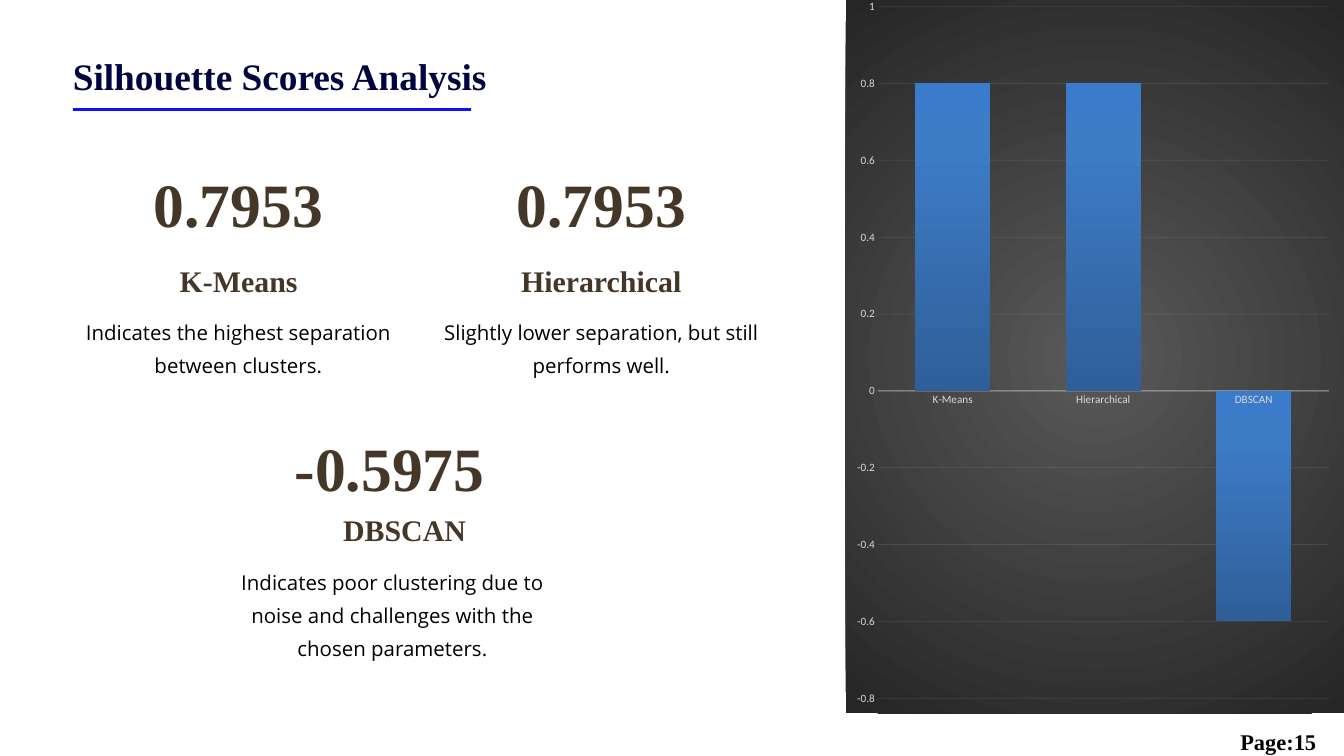
from dataclasses import dataclass

from lxml.etree import SubElement
from pptx import Presentation
from pptx.chart.chart import Chart
from pptx.chart.data import CategoryChartData
from pptx.dml.color import RGBColor
from pptx.dml.line import LineFormat
from pptx.enum.chart import XL_CHART_TYPE, XL_TICK_MARK
from pptx.enum.shapes import MSO_CONNECTOR
from pptx.enum.text import MSO_ANCHOR, MSO_AUTO_SIZE, PP_ALIGN
from pptx.oxml import parse_xml
from pptx.oxml.ns import nsdecls, qn
from pptx.slide import Slide
from pptx.util import Pt

PX = 9525

COLORS = {
    "title": "020440",
    "rule": "1010F6",
    "score": "443728",
    "body": "000000",
    "label": "D9D9D9",
    "grid": "F2F2F2",
    "panel_center": "595959",
    "panel_edge": "262626",
    "bar_low": "2F5F99",
    "bar_mid": "3D7CC7",
    "bar_top": "3A7CCB",
}


@dataclass(frozen=True)
class Style:
    size: float
    color: str
    spacing: float
    font: str = "Times New Roman"
    bold: bool = True
    align: PP_ALIGN = PP_ALIGN.CENTER


@dataclass(frozen=True)
class Box:
    left: int
    top: int
    width: int
    height: int


@dataclass(frozen=True)
class Score:
    value: float
    method: str
    remark: str
    value_at: Box
    method_at: Box
    remark_at: Box


VALUE = Style(66, "score", 73.1)
METHOD = Style(32, "score", 34.4)
REMARK = Style(21.9, "body", 35.6, "Open Sans", False)
TITLE = Style(40, "title", 56.1, align=PP_ALIGN.LEFT)
PAGE = Style(24, "body", 47.6)

SCORES = [
    Score(0.7953, "K-Means", "Indicates the highest separation between clusters.",
          Box(104, 245, 473, 98), Box(155, 381, 372, 46), Box(104, 445, 473, 95)),
    Score(0.7953, "Hierarchical", "Slightly lower separation, but still performs well.",
          Box(622, 245, 474, 98), Box(673, 381, 372, 46), Box(622, 445, 474, 95)),
    Score(-0.5975, "DBSCAN",
          "Indicates poor clustering due to noise and challenges with the chosen parameters.",
          Box(320, 622, 473, 98), Box(392, 736, 372, 46), Box(324, 802, 473, 143)),
]


def emu(box: Box) -> list[int]:
    return [n * PX for n in (box.left, box.top, box.width, box.height)]


def add_text(slide: Slide, text: str, box: Box, style: Style, wrap: bool = True,
             inset: int = 0, **frame_format) -> None:
    frame = slide.shapes.add_textbox(*emu(box)).text_frame
    margins = {f"margin_{side}": inset * PX for side in ("left", "top", "right", "bottom")}
    for name, value in {"word_wrap": wrap, **margins, **frame_format}.items():
        setattr(frame, name, value)
    paragraph = frame.paragraphs[0]
    paragraph.alignment = style.align
    paragraph.line_spacing = Pt(style.spacing)
    run = paragraph.add_run()
    run.text = text
    for name, value in {"name": style.font, "size": Pt(style.size), "bold": style.bold}.items():
        setattr(run.font, name, value)
    run.font.color.rgb = RGBColor.from_string(COLORS[style.color])


def add_score(slide: Slide, score: Score) -> None:
    add_text(slide, str(score.value), score.value_at, VALUE, wrap=False)
    add_text(slide, score.method, score.method_at, METHOD, wrap=False)
    add_text(slide, score.remark, score.remark_at, REMARK)


def gradient(stops: dict[int, str], direction: str):
    marks = "".join(
        f'<a:gs pos="{pos * 1000}"><a:srgbClr val="{COLORS[color]}"/></a:gs>'
        for pos, color in stops.items()
    )
    return parse_xml(
        f'<a:gradFill {nsdecls("a")} rotWithShape="1"><a:gsLst>{marks}</a:gsLst>{direction}</a:gradFill>'
    )


def set_faint_line(line: LineFormat, width: float, opacity: int) -> None:
    line.width = Pt(width)
    line.color.rgb = RGBColor.from_string(COLORS["grid"])
    color = line._ln.find(".//" + qn("a:srgbClr"))
    SubElement(color, qn("a:alpha")).set("val", str(opacity * 1000))


def set_chart_font(part, size: int, color: str) -> None:
    for name, value in {"name": "Calibri", "size": Pt(size), "bold": False}.items():
        setattr(part.font, name, value)
    part.font.color.rgb = RGBColor.from_string(COLORS[color])


def set_panel(chart: Chart) -> None:
    panel = parse_xml(f'<c:spPr {nsdecls("c", "a")}><a:ln><a:noFill/></a:ln></c:spPr>')
    panel.insert(0, gradient(
        {0: "panel_center", 100: "panel_edge"},
        '<a:path path="circle"><a:fillToRect l="50000" t="50000" r="50000" b="50000"/></a:path>',
    ))
    space = chart._chartSpace
    space.find(qn("c:chart")).addnext(panel)

    plot_area = space.find(".//" + qn("c:plotArea"))
    for old in plot_area.findall(qn("c:layout")):
        plot_area.remove(old)
    places = {"layoutTarget": "inner", "xMode": "edge", "yMode": "edge",
              "x": 0.064, "y": 0.009, "w": 0.906, "h": 0.97}
    entries = "".join(f'<c:{tag} val="{value}"/>' for tag, value in places.items())
    plot_area.insert(0, parse_xml(
        f'<c:layout {nsdecls("c")}><c:manualLayout>{entries}</c:manualLayout></c:layout>'
    ))


def add_score_chart(slide: Slide, box: Box) -> None:
    data = CategoryChartData()
    data.categories = [score.method for score in SCORES]
    data.add_series("Series 1", [round(score.value, 1) for score in SCORES])
    chart = slide.shapes.add_chart(XL_CHART_TYPE.COLUMN_CLUSTERED, *emu(box), data).chart
    chart.has_title = False
    chart.has_legend = False
    set_chart_font(chart, 10, "body")
    set_panel(chart)

    plot = chart.plots[0]
    for name, value in {"gap_width": 100, "overlap": -24, "vary_by_categories": False}.items():
        setattr(plot, name, value)
    bars = plot.series[0]
    bars.invert_if_negative = False
    bars.format.fill.background()
    bar_fill = bars._element.find(qn("c:spPr"))
    bar_fill.replace(bar_fill[0], gradient(
        {0: "bar_low", 80: "bar_mid", 100: "bar_top"}, '<a:lin ang="16200000" scaled="0"/>'
    ))

    methods, values = chart.category_axis, chart.value_axis
    for axis in (methods, values):
        axis.major_tick_mark = axis.minor_tick_mark = XL_TICK_MARK.NONE
        set_chart_font(axis.tick_labels, 12, "label")
    for name, value in {"minimum_scale": -0.8, "maximum_scale": 1, "major_unit": 0.2,
                        "has_major_gridlines": True}.items():
        setattr(values, name, value)
    values.format.line.fill.background()
    set_faint_line(methods.format.line, 1, 54)
    set_faint_line(values.major_gridlines.format.line, 0.75, 10)


def add_rule(slide: Slide, left: int, right: int, y: int) -> None:
    rule = slide.shapes.add_connector(
        MSO_CONNECTOR.STRAIGHT, *(n * PX for n in (left, y, right, y))
    )
    rule.line.width = Pt(3)
    rule.line.color.rgb = RGBColor.from_string(COLORS["rule"])
    SubElement(rule._element.spPr, qn("a:effectLst"))


def main() -> None:
    deck = Presentation()
    deck.slide_width, deck.slide_height = 1920 * PX, 1080 * PX
    slide = deck.slides.add_slide(deck.slide_layouts[6])
    for score in SCORES:
        add_score(slide, score)
    add_text(slide, "Silhouette Scores Analysis", Box(104, 65, 864, 70), TITLE,
             auto_size=MSO_AUTO_SIZE.SHAPE_TO_FIT_TEXT)
    add_rule(slide, 104, 673, 156)
    add_score_chart(slide, Box(1208, 0, 712, 1019))
    add_text(slide, "Page:15", Box(1740, 1028, 172, 37), PAGE, inset=5,
             vertical_anchor=MSO_ANCHOR.MIDDLE)
    deck.save("out.pptx")


if __name__ == "__main__":
    main()
